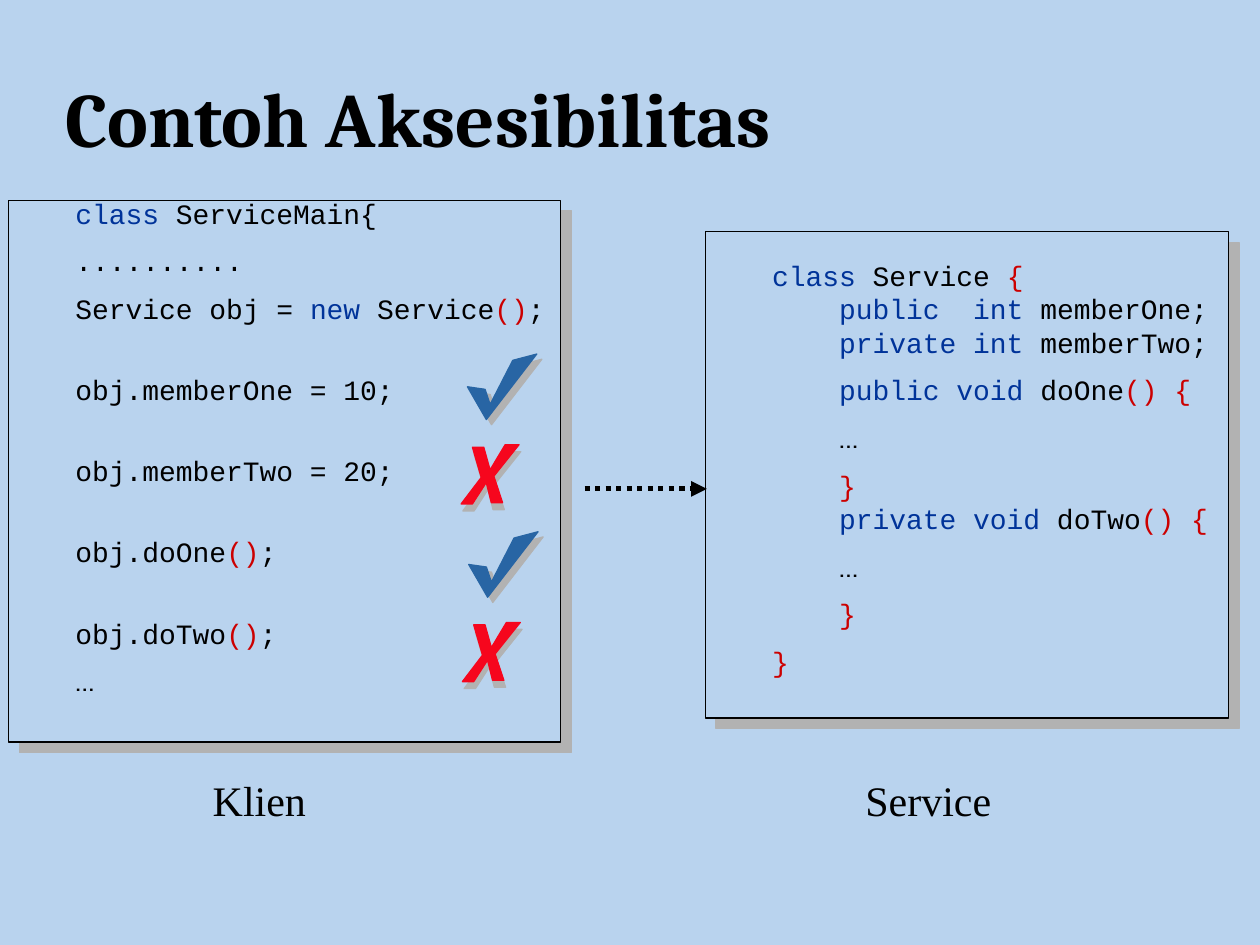
from dataclasses import dataclass
from typing import NamedTuple

from lxml import etree
from pptx import Presentation
from pptx.dml.color import RGBColor
from pptx.enum.dml import MSO_LINE
from pptx.enum.shapes import MSO_CONNECTOR, MSO_SHAPE
from pptx.enum.text import MSO_ANCHOR, PP_ALIGN
from pptx.oxml import parse_xml
from pptx.oxml.ns import nsdecls, qn
from pptx.util import Inches, Pt

RECTANGLE = MSO_SHAPE.RECTANGLE
STRAIGHT = MSO_CONNECTOR.STRAIGHT
DOTTED = MSO_LINE.ROUND_DOT
MIDDLE = MSO_ANCHOR.MIDDLE
TOP = MSO_ANCHOR.TOP
LEFT = PP_ALIGN.LEFT
TITLE_ONLY = 5


@dataclass(frozen=True)
class Theme:
    background: str = "B9D3EE"
    ink: str = "000000"
    keyword: str = "003399"
    bracket: str = "CC0000"
    shadow: str = "B2B2B2"
    allowed: str = "2865A4"
    denied: str = "F6061D"
    title_font: str = "Cambria"
    code_font: str = "Courier New"
    ellipsis_font: str = "Cabin"
    label_font: str = "Times New Roman"
    title_size: float = 44
    code_size: float = 16
    label_size: float = 24
    code_gap: float = 8


THEME = Theme()


class Area(NamedTuple):
    left: float
    top: float
    width: float
    height: float


class Span(NamedTuple):
    text: str
    color: str = THEME.ink
    font: str = THEME.code_font


class CodeLine(NamedTuple):
    spans: list[Span]
    spacing: float = 1.0


class Panel(NamedTuple):
    frame: Area
    code: Area
    lines: list[CodeLine]


class Label(NamedTuple):
    text: str
    area: Area


class Mark(NamedTuple):
    hundredths: list[tuple[int, int]]
    color: str
    shadow_distance: float
    shadow_angle: float


def keyword(text: str) -> Span:
    return Span(text, THEME.keyword)


def bracket(text: str) -> Span:
    return Span(text, THEME.bracket)


INDENT = "    "
ELLIPSIS = Span("…", font=THEME.ellipsis_font)
CALL_END = [bracket("()"), Span(";")]

SERVICE = Panel(Area(5.6, 1.84, 4.15, 3.86), Area(5.53, 2, 4.22, 3.58), [
    CodeLine([keyword("class"), Span(" Service "), bracket("{\n" + INDENT),
              keyword("public  int"), Span(" memberOne;\n" + INDENT),
              keyword("private int"), Span(" memberTwo;")]),
    CodeLine([Span(INDENT), keyword("public void"), Span(" doOne"), bracket("() {")]),
    CodeLine([Span(INDENT), ELLIPSIS]),
    CodeLine([Span(INDENT), bracket("}\n" + INDENT), keyword("private void"),
              Span(" doTwo"), bracket("() {")]),
    CodeLine([Span(INDENT), ELLIPSIS]),
    CodeLine([Span(INDENT), bracket("}")]),
    CodeLine([bracket("}")]),
])

CLIENT = Panel(Area(0.07, 1.59, 4.38, 4.3), Area(0, 1.51, 4.45, 5.24), [
    CodeLine([keyword("class"), Span(" ServiceMain{")]),
    CodeLine([Span("..........")]),
    CodeLine([Span("Service obj = "), keyword("new"), Span(" Service"), *CALL_END]),
    CodeLine([Span("obj.memberOne = 10;")], 2.0),
    CodeLine([Span("obj.memberTwo = 20;")], 2.0),
    CodeLine([Span("obj.doOne"), *CALL_END], 2.0),
    CodeLine([Span("obj.doTwo"), *CALL_END], 2.0),
    CodeLine([ELLIPSIS]),
])

LABELS = [
    Label("Klien", Area(1.59, 6.1, 0.94, 0.5)),
    Label("Service", Area(6.77, 6.1, 1.2, 0.5)),
]

CHECK = Mark([(371, 307), (385, 309), (389, 321), (407, 286), (426, 281),
              (386, 333)], THEME.allowed, 4.2, 45)
CROSS = Mark([(375, 355), (384, 355), (389, 373), (401, 353), (412, 353),
              (392, 378), (399, 399), (390, 399), (386, 383), (375, 400),
              (366, 400), (382, 379)], THEME.denied, 4.1, 76)
MARK_OFFSETS = [(0, 0), (1, 141)]


def inches(area: Area) -> list[int]:
    return [Inches(value) for value in area]


def write(para, text: str, *, font: str, size: float, color: str = THEME.ink,
          bold: bool = False) -> None:
    for index, part in enumerate(text.split("\n")):
        if index:
            para.add_line_break()
        span = para.add_run()
        span.text = part
        span.font.name = font
        span.font.size = Pt(size)
        span.font.bold = bold
        span.font.color.rgb = RGBColor.from_string(color)


def style_shape(shape, fill: str, line: str, distance: float, angle: float) -> None:
    shape.shadow.inherit = False
    shape.fill.solid()
    shape.fill.fore_color.rgb = RGBColor.from_string(fill)
    shape.line.color.rgb = RGBColor.from_string(line)
    shape.line.width = Pt(0.75)
    effects = shape._element.spPr.find(qn("a:effectLst"))
    effects.append(parse_xml(
        f'<a:outerShdw {nsdecls("a")} blurRad="0" dist="{Pt(distance)}" '
        f'dir="{int(angle * 60000)}" algn="ctr" rotWithShape="0">'
        f'<a:srgbClr val="{THEME.shadow}"/></a:outerShdw>'))


def add_panel(page, panel: Panel) -> None:
    frame = page.shapes.add_shape(RECTANGLE, *inches(panel.frame))
    style_shape(frame, THEME.background, THEME.ink, 8.5, 45)
    text = page.shapes.add_textbox(*inches(panel.code)).text_frame
    text.word_wrap = True
    text.vertical_anchor = TOP
    for index, line in enumerate(panel.lines):
        para = text.add_paragraph() if index else text.paragraphs[0]
        properties = para._p.get_or_add_pPr()
        properties.set("marL", str(Inches(0.5)))
        properties.set("indent", "0")
        para.line_spacing = line.spacing
        if index:
            para.space_before = Pt(THEME.code_gap)
        for span in line.spans:
            write(para, span.text, font=span.font, size=THEME.code_size, color=span.color)


def add_mark(page, mark: Mark, offset: tuple[int, int]) -> None:
    points = [(x + offset[0], y + offset[1]) for x, y in mark.hundredths]
    builder = page.shapes.build_freeform(*points[0], scale=Inches(0.01))
    builder.add_line_segments(points[1:], close=True)
    style_shape(builder.convert_to_shape(), mark.color, mark.color,
                mark.shadow_distance, mark.shadow_angle)


def add_label(page, label: Label) -> None:
    text = page.shapes.add_textbox(*inches(label.area)).text_frame
    text.word_wrap = False
    write(text.paragraphs[0], label.text, font=THEME.label_font, size=THEME.label_size)


def add_dotted_arrow(page, start: float, end: float, height: float) -> None:
    arrow = page.shapes.add_connector(
        STRAIGHT, Inches(start), Inches(height), Inches(end), Inches(height))
    arrow.line.color.rgb = RGBColor.from_string(THEME.ink)
    arrow.line.width = Pt(3)
    arrow.line.dash_style = DOTTED
    etree.SubElement(arrow.line._get_or_add_ln(), qn("a:tailEnd"), type="triangle")
    etree.SubElement(arrow._element.spPr, qn("a:effectLst"))


def add_title(page, title: str, area: Area) -> None:
    box = page.shapes.title
    box.left, box.top, box.width, box.height = inches(area)
    box.text_frame.vertical_anchor = MIDDLE
    para = box.text_frame.paragraphs[0]
    para.alignment = LEFT
    write(para, title, font=THEME.title_font, size=THEME.title_size, bold=True)


def main() -> None:
    deck = Presentation()
    deck.slide_width, deck.slide_height = Inches(10), Inches(7.5)
    page = deck.slides.add_slide(deck.slide_layouts[TITLE_ONLY])
    page.background.fill.solid()
    page.background.fill.fore_color.rgb = RGBColor.from_string(THEME.background)
    add_title(page, "Contoh Aksesibilitas", Area(0.42, 0.3, 9.27, 1.25))
    for panel in (SERVICE, CLIENT):
        add_panel(page, panel)
    for offset in MARK_OFFSETS:
        for mark in (CHECK, CROSS):
            add_mark(page, mark, offset)
    for label in LABELS:
        add_label(page, label)
    add_dotted_arrow(page, 4.64, 5.61, 3.88)
    deck.save("out.pptx")


if __name__ == "__main__":
    main()
